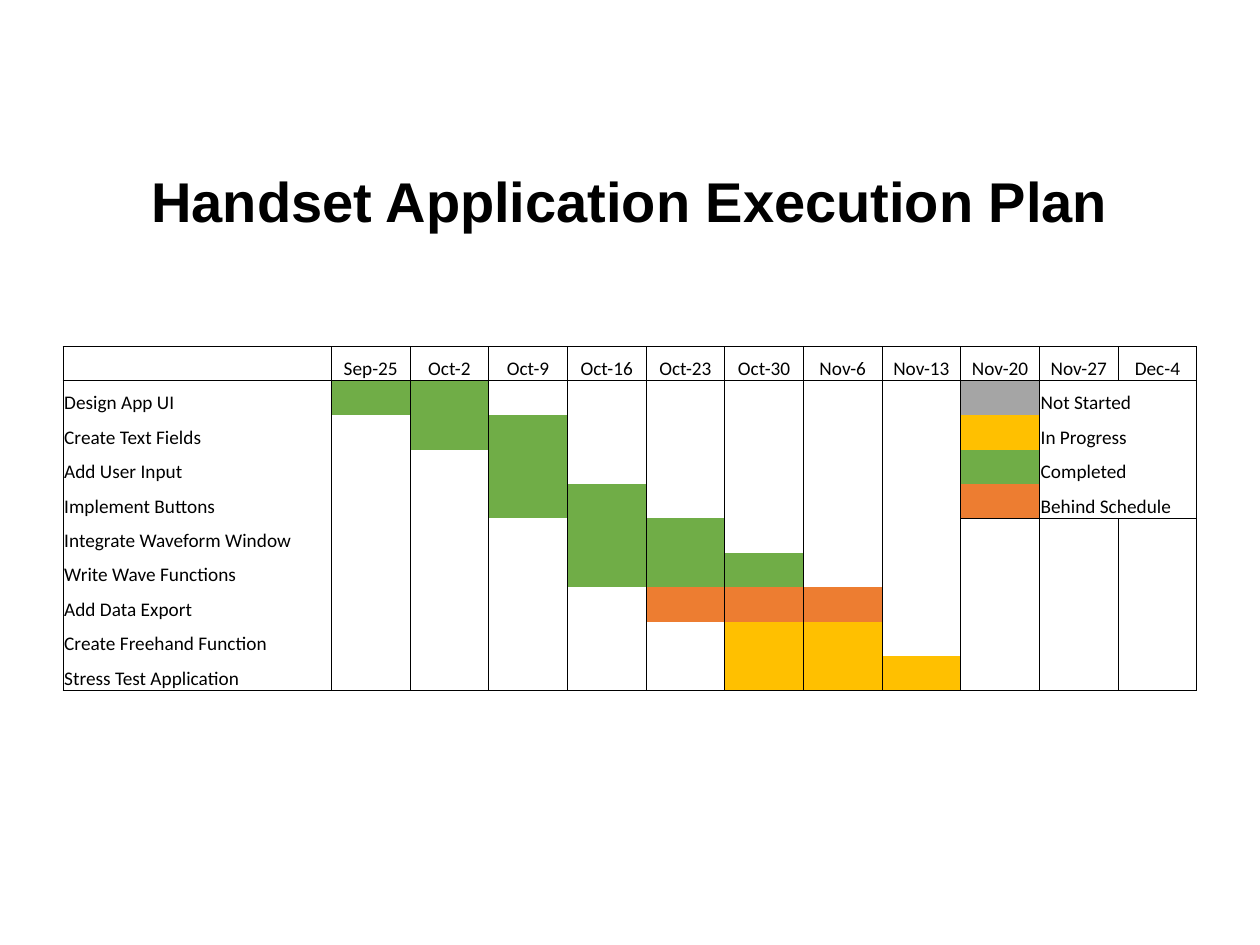
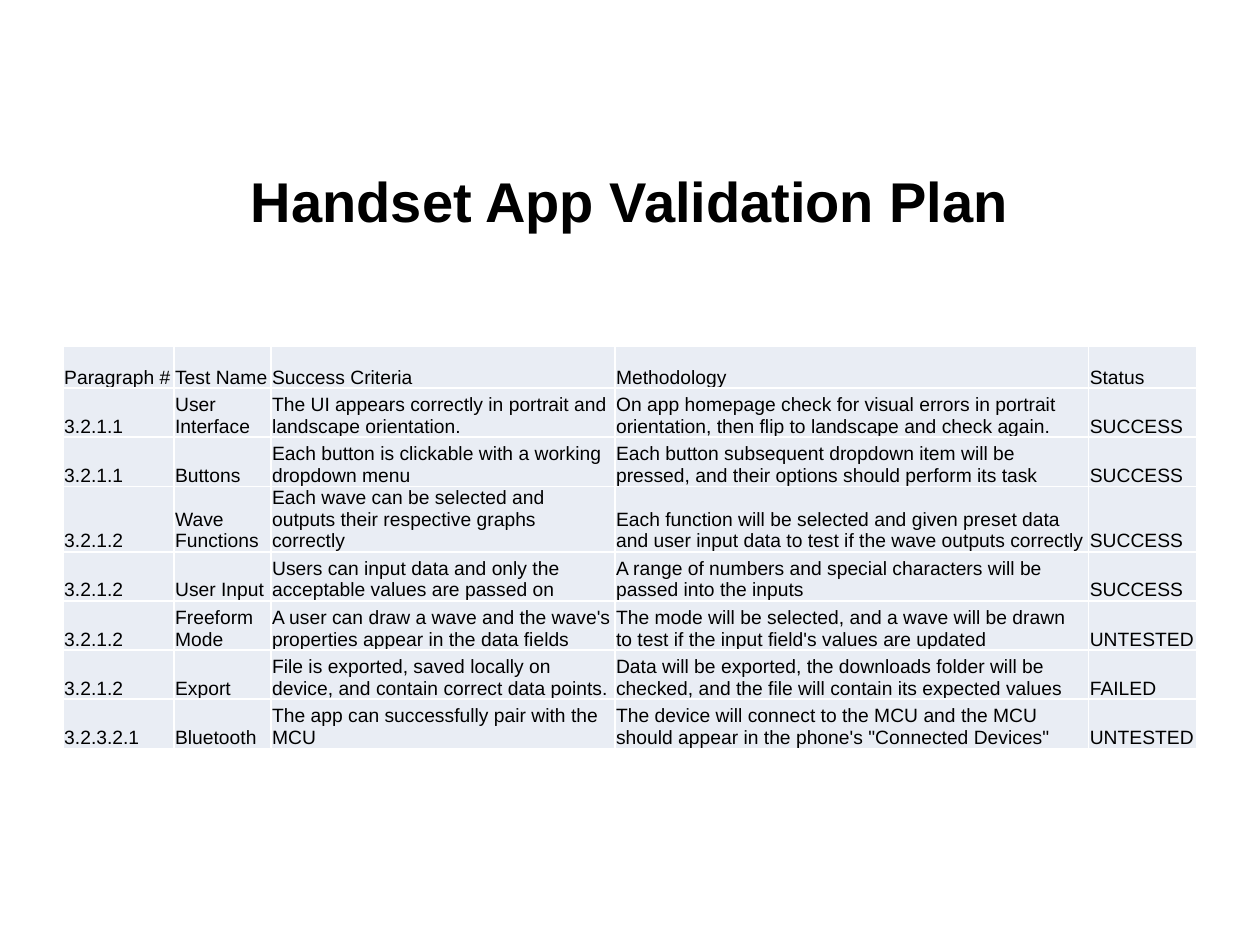
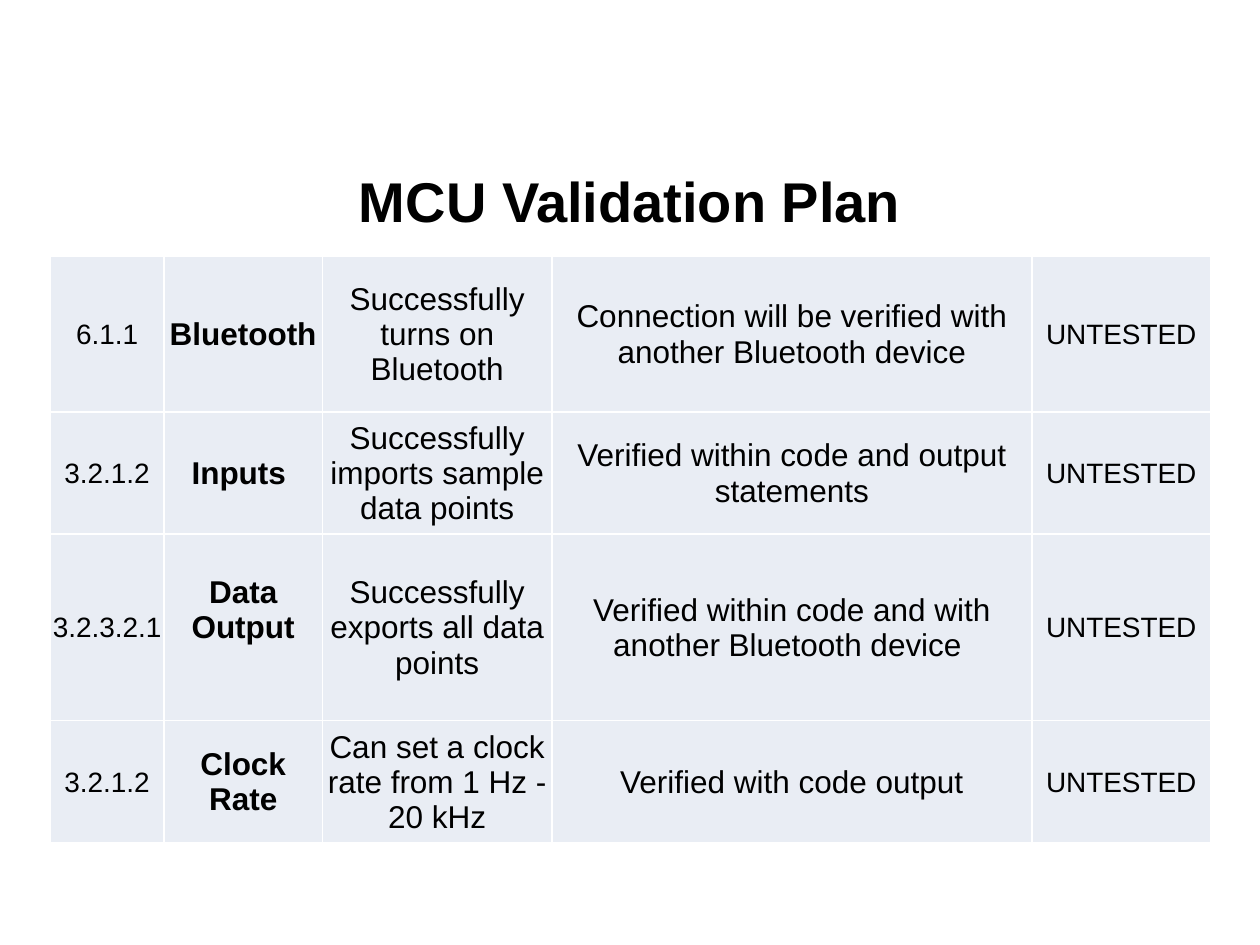
from lxml import etree
from pptx import Presentation
from pptx.dml.color import RGBColor
from pptx.enum.text import MSO_ANCHOR, PP_ALIGN
from pptx.oxml.ns import qn
from pptx.util import Inches, Pt

LEFT, CENTER = PP_ALIGN.LEFT, PP_ALIGN.CENTER
MIDDLE, BOTTOM = MSO_ANCHOR.MIDDLE, MSO_ANCHOR.BOTTOM

BLACK = RGBColor(0x00, 0x00, 0x00)
WHITE = RGBColor(0xFF, 0xFF, 0xFF)
PALE = RGBColor(0xE9, 0xED, 0xF4)
GRAY = RGBColor(0xA5, 0xA5, 0xA5)
YELLOW = RGBColor(0xFF, 0xC0, 0x00)
GREEN = RGBColor(0x70, 0xAD, 0x47)
ORANGE = RGBColor(0xED, 0x7D, 0x31)

STATES = {
    "Not Started": GRAY,
    "In Progress": YELLOW,
    "Completed": GREEN,
    "Behind Schedule": ORANGE,
}
WEEKS = ["Sep-25", "Oct-2", "Oct-9", "Oct-16", "Oct-23", "Oct-30",
         "Nov-6", "Nov-13", "Nov-20", "Nov-27", "Dec-4"]
TASKS = [
    ("Design App UI", "Sep-25", "Oct-2", "Completed"),
    ("Create Text Fields", "Oct-2", "Oct-9", "Completed"),
    ("Add User Input", "Oct-9", "Oct-9", "Completed"),
    ("Implement Buttons", "Oct-9", "Oct-16", "Completed"),
    ("Integrate Waveform Window", "Oct-16", "Oct-23", "Completed"),
    ("Write Wave Functions", "Oct-16", "Oct-30", "Completed"),
    ("Add Data Export", "Oct-23", "Nov-6", "Behind Schedule"),
    ("Create Freehand Function", "Oct-30", "Nov-6", "In Progress"),
    ("Stress Test Application", "Oct-30", "Nov-13", "In Progress"),
]
LEGEND_COLUMN = 9

APP_TESTS = [
    ("Paragraph #", "Test Name", "Success Criteria", "Methodology", "Status"),
    ("3.2.1.1", "User Interface",
     "The UI appears correctly in portrait and landscape orientation.",
     "On app homepage check for visual errors in portrait orientation, "
     "then flip to landscape and check again.", "SUCCESS"),
    ("3.2.1.1", "Buttons",
     "Each button is clickable with a working dropdown menu",
     "Each button subsequent dropdown item will be pressed, "
     "and their options should perform its task", "SUCCESS"),
    ("3.2.1.2", "Wave Functions",
     "Each wave can be selected and outputs their respective graphs correctly",
     "Each function will be selected and given preset data and user input data "
     "to test if the wave outputs correctly", "SUCCESS"),
    ("3.2.1.2", "User Input",
     "Users can input data and only the acceptable values are passed on",
     "A range of numbers and special characters will be passed into the inputs",
     "SUCCESS"),
    ("3.2.1.2", "Freeform Mode",
     "A user can draw a wave and the wave's properties appear in the data fields",
     "The mode will be selected, and a wave will be drawn to test "
     "if the input field's values are updated", "UNTESTED"),
    ("3.2.1.2", "Export",
     "File is exported, saved locally on device, and contain correct data points.",
     "Data will be exported, the downloads folder will be checked, "
     "and the file will contain its expected values", "FAILED"),
    ("3.2.3.2.1", "Bluetooth",
     "The app can successfully pair with the MCU",
     "The device will connect to the MCU and the MCU should appear "
     "in the phone's \"Connected Devices\"", "UNTESTED"),
]

MCU_TESTS = [
    ("6.1.1", "Bluetooth", "Successfully turns on Bluetooth",
     "Connection will be verified with another Bluetooth device", "UNTESTED"),
    ("3.2.1.2", "Inputs ", "Successfully imports sample data points",
     "Verified within code and output statements", "UNTESTED"),
    ("3.2.3.2.1", "Data Output", "Successfully exports all data points",
     "Verified within code and with another Bluetooth device ", "UNTESTED"),
    ("3.2.1.2", "Clock Rate", "Can set a clock rate from 1 Hz - 20 kHz",
     "Verified with code output", "UNTESTED"),
]


def add_titled_slide(deck, title):
    slide = deck.slides.add_slide(deck.slide_layouts[5])
    heading = slide.shapes.title
    heading.left, heading.top = Inches(0.5), Inches(1.15)
    heading.width, heading.height = Inches(9), Inches(0.88)
    heading.text_frame.text = title
    heading.text_frame.vertical_anchor = MIDDLE
    heading.text_frame.paragraphs[0].alignment = CENTER
    format_font(heading.text_frame.paragraphs[0].runs[0].font, "Arial", 32, True)
    return slide


def format_font(font, name, size, bold=False):
    font.name, font.size, font.bold = name, Pt(size), bold
    font.color.rgb = BLACK


def add_grid(slide, left, top, widths, heights):
    table = slide.shapes.add_table(
        len(heights), len(widths), Inches(left), Inches(top),
        Inches(sum(widths)), Inches(sum(heights))).table
    table.first_row = table.horz_banding = False
    for column, width in zip(table.columns, widths):
        column.width = Inches(width)
    for row, height in zip(table.rows, heights):
        row.height = Inches(height)
    return table


def set_borders(cell, color, points, sides="LRTB"):
    properties = cell._tc.get_or_add_tcPr()
    for side in "LRTB":
        line = etree.SubElement(properties, qn(f"a:ln{side}"), w=str(Pt(points)))
        if side in sides:
            fill = etree.SubElement(line, qn("a:solidFill"))
            etree.SubElement(fill, qn("a:srgbClr"), val=str(color))
        else:
            etree.SubElement(line, qn("a:noFill"))


def fill_cell(cell, text, name, size, fill=None, align=LEFT, anchor=BOTTOM, bold=False):
    cell.margin_left = cell.margin_right = cell.margin_top = Inches(0.01)
    cell.margin_bottom = 0
    cell.vertical_anchor = anchor
    if fill is None:
        cell.fill.background()
    else:
        cell.fill.solid()
        cell.fill.fore_color.rgb = fill
    paragraph = cell.text_frame.paragraphs[0]
    paragraph.text = text
    paragraph.alignment = align
    for run in paragraph.runs:
        format_font(run.font, name, size, bold)
    if not text:
        etree.SubElement(paragraph._p, qn("a:endParaRPr"), sz=str(size * 100))


def add_execution_plan(deck):
    slide = add_titled_slide(deck, "Handset Application Execution Plan")
    task_width = 2.13
    week_width = (9 - task_width) / len(WEEKS)
    last_row = len(TASKS)
    table = add_grid(slide, 0.5, 2.75, [task_width] + [week_width] * len(WEEKS),
                     [2.73 / (last_row + 1)] * (last_row + 1))

    texts = {(0, c): week for c, week in enumerate(WEEKS, 1)}
    fills = {}
    for r, (task, start, end, state) in enumerate(TASKS, 1):
        texts[r, 0] = task
        for week in range(WEEKS.index(start), WEEKS.index(end) + 1):
            fills[r, week + 1] = STATES[state]
    for r, (state, color) in enumerate(STATES.items(), 1):
        fills[r, LEGEND_COLUMN] = color
        texts[r, LEGEND_COLUMN + 1] = state
        table.cell(r, LEGEND_COLUMN + 1).merge(table.cell(r, LEGEND_COLUMN + 2))

    for r in range(last_row + 1):
        for c in range(len(WEEKS) + 1):
            in_legend = c >= LEGEND_COLUMN
            sides = "LR"
            if r in (0, 1) or (in_legend and r == len(STATES) + 1):
                sides += "T"
            if r in (0, last_row) or (in_legend and r == len(STATES)):
                sides += "B"
            cell = table.cell(r, c)
            set_borders(cell, BLACK, 0.5, sides)
            fill_cell(cell, texts.get((r, c), ""), "Calibri", 11, fills.get((r, c)),
                      CENTER if r == 0 else LEFT)


def add_test_table(slide, tests, left, top, widths, heights, sizes,
                   align=LEFT, anchor=BOTTOM, bold_column=None):
    table = add_grid(slide, left, top, widths, heights)
    for r, test in enumerate(tests):
        for c, text in enumerate(test):
            cell = table.cell(r, c)
            set_borders(cell, WHITE, 1)
            fill_cell(cell, text, "Arial", sizes[c], PALE, align, anchor, c == bold_column)
    return table


def main():
    deck = Presentation()
    deck.slide_width, deck.slide_height = Inches(10), Inches(7.5)

    add_execution_plan(deck)

    app_slide = add_titled_slide(deck, "Handset App Validation Plan")
    add_test_table(app_slide, APP_TESTS, 0.5, 2.75, [0.88, 0.77, 2.73, 3.76, 0.86],
                   [0.33] + [0.39] * 7, [11] * 5)

    mcu_slide = add_titled_slide(deck, "MCU Validation Plan")
    mcu_table = add_test_table(mcu_slide, MCU_TESTS, 0.4, 2.03,
                               [0.9, 1.26, 1.82, 3.81, 1.42], [1.24, 0.97, 1.48, 0.97],
                               [16, 18, 18, 18, 16], CENTER, MIDDLE, bold_column=1)
    mcu_table.cell(2, 1).margin_bottom = Inches(0.28)

    deck.save("out.pptx")


if __name__ == "__main__":
    main()
